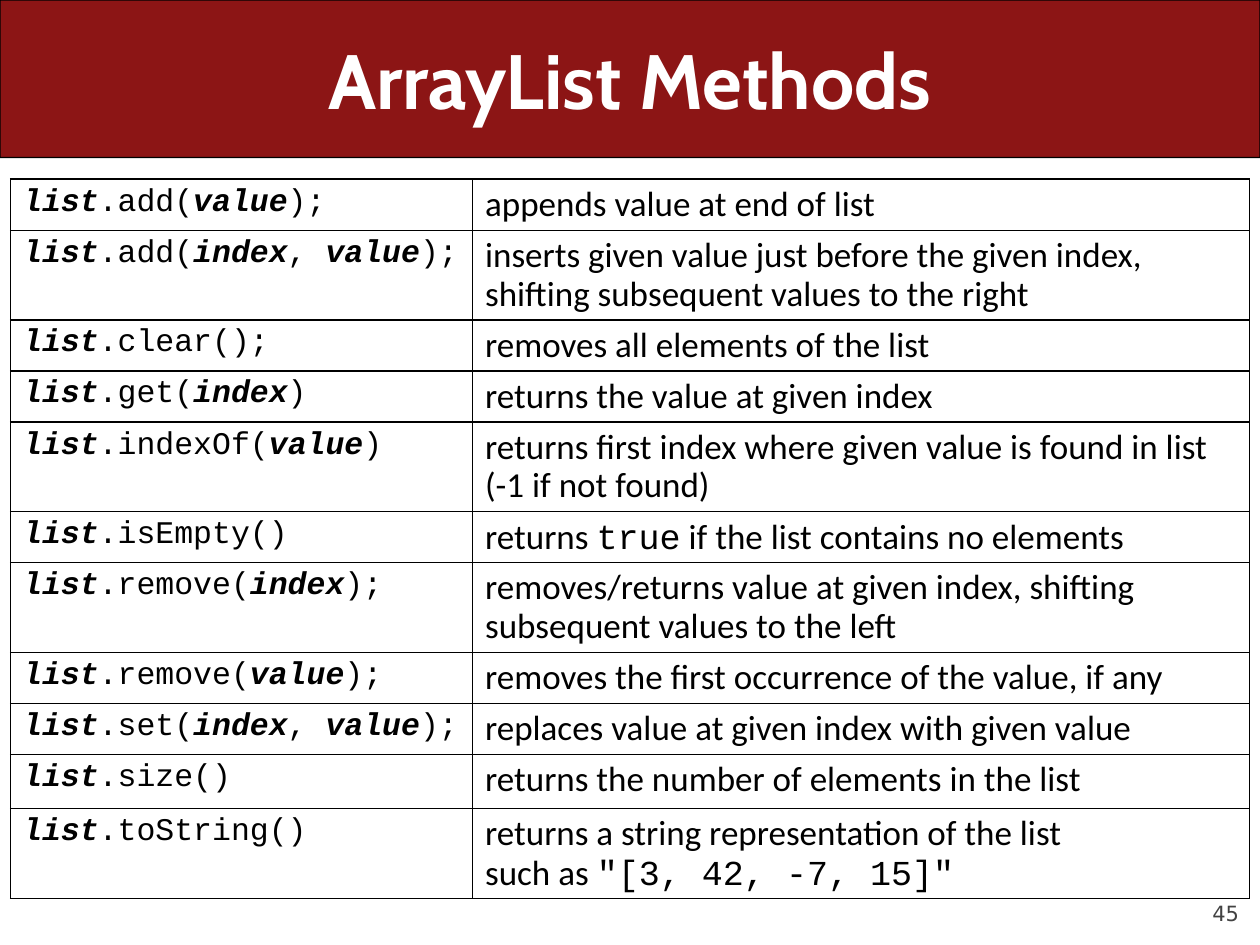
from dataclasses import dataclass

from lxml import etree
from pptx import Presentation
from pptx.dml.color import RGBColor
from pptx.enum.shapes import MSO_SHAPE
from pptx.enum.text import MSO_ANCHOR, PP_ALIGN
from pptx.oxml.ns import qn
from pptx.util import Pt

ROUNDED = MSO_SHAPE.ROUNDED_RECTANGLE
MIDDLE, BOTTOM = MSO_ANCHOR.MIDDLE, MSO_ANCHOR.BOTTOM
CENTER, RIGHT = PP_ALIGN.CENTER, PP_ALIGN.RIGHT

BLACK, WHITE, CARDINAL, GRAY = "000000", "FFFFFF", "8C1515", "424242"
CODE, BODY = "Courier New", "Calibri"
COLUMN_WIDTHS = (264, 444)
ONE_LINE, TWO_LINES = 29.2, 51.2


@dataclass
class Method:
    """A table row: *...* marks a variable in the call, code in the effect."""
    call: str
    effect: str
    height: float = ONE_LINE


METHODS = [
    Method("*list*.add(*value*);", "appends value at end of list"),
    Method("*list*.add(*index*, *value*);",
           "inserts given value just before the given index, "
           "shifting subsequent values to the right", TWO_LINES),
    Method("*list*.clear();", "removes all elements of the list"),
    Method("*list*.get(*index*)", "returns the value at given index"),
    Method("*list*.indexOf(*value*)",
           "returns first index where given value is found in list "
           "(-1 if not found)", TWO_LINES),
    Method("*list*.isEmpty()",
           "returns *true* if the list contains no elements"),
    Method("*list*.remove(*index*);",
           "removes/returns value at given index, shifting "
           "subsequent values to the left", TWO_LINES),
    Method("*list*.remove(*value*);",
           "removes the first occurrence of the value, if any"),
    Method("*list*.set(*index*, *value*);",
           "replaces value at given index with given value"),
    Method("*list*.size()", "returns the number of elements in the list", 31),
    Method("*list*.toString()",
           "returns a string representation of the list\n"
           'such as *"[3, 42, -7, 15]"*', TWO_LINES),
]


def rgb(color: str) -> RGBColor:
    return RGBColor.from_string(color)


def style(font, name: str, size: float, color: str = BLACK,
          bold: bool = False, italic: bool = False) -> None:
    font.name, font.size = name, Pt(size)
    font.color.rgb = rgb(color)
    font.bold, font.italic = bold, italic


def add_borders(cell, width: float = 1) -> None:
    tcPr = cell._tc.get_or_add_tcPr()
    for i, side in enumerate(("lnL", "lnR", "lnT", "lnB")):
        ln = etree.Element(qn(f"a:{side}"), w=str(Pt(width)))
        fill = etree.SubElement(ln, qn("a:solidFill"))
        etree.SubElement(fill, qn("a:srgbClr"), val=BLACK)
        tcPr.insert(i, ln)


def fill_cell(cell, text: str, is_call: bool) -> None:
    cell.fill.background()
    add_borders(cell)
    tf = cell.text_frame
    for i, line in enumerate(text.split("\n")):
        p = tf.add_paragraph() if i else tf.paragraphs[0]
        p.line_spacing = 0.9
        for j, part in enumerate(line.split("*")):
            if not part:
                continue
            marked = j % 2 == 1
            r = p.add_run()
            r.text = part
            if is_call:
                style(r.font, CODE, 18, bold=marked, italic=marked)
            else:
                style(r.font, CODE if marked else BODY, 20)


def add_page_number(s, number: str) -> None:
    tf = s.shapes.add_textbox(Pt(648), Pt(500.4), Pt(60), Pt(28.8)).text_frame
    tf.margin_left = tf.margin_right = tf.margin_top = tf.margin_bottom = 0
    tf.word_wrap = True
    tf.vertical_anchor = BOTTOM
    tf.text = number
    p = tf.paragraphs[0]
    p.alignment, p.space_before = RIGHT, Pt(5)
    style(p.runs[0].font, "DejaVu Sans", 12, GRAY)


def add_banner(s) -> None:
    sp = s.shapes.add_shape(ROUNDED, 0, 0, Pt(720), Pt(90))
    sp.adjustments[0] = 0.001
    sp.shadow.inherit = False
    sp.fill.solid()
    sp.fill.fore_color.rgb = rgb(CARDINAL)
    sp.line.color.rgb = rgb(BLACK)
    sp.line.width = Pt(0.75)
    s.shapes._spTree.insert(2, sp._element)  # behind the title


def set_title(s, text: str) -> None:
    sp = s.shapes.title
    sp.left, sp.top, sp.width, sp.height = Pt(36), 0, Pt(648), Pt(90)
    tf = sp.text_frame
    tf.vertical_anchor = MIDDLE
    tf.text = text
    p = tf.paragraphs[0]
    p.alignment = CENTER
    style(p.runs[0].font, "Cabin", 44, WHITE, bold=True)


def add_method_table(s, methods: list[Method]) -> None:
    frame = s.shapes.add_table(
        len(methods), 2, Pt(6), Pt(102.4), Pt(sum(COLUMN_WIDTHS)),
        Pt(sum(m.height for m in methods)))
    table = frame.table
    table.first_row = table.horz_banding = False
    for column, width in zip(table.columns, COLUMN_WIDTHS):
        column.width = Pt(width)
    for i, m in enumerate(methods):
        table.rows[i].height = Pt(m.height)
        fill_cell(table.cell(i, 0), m.call, is_call=True)
        fill_cell(table.cell(i, 1), m.effect, is_call=False)


def main() -> None:
    prs = Presentation()
    prs.slide_width, prs.slide_height = Pt(720), Pt(540)
    s = prs.slides.add_slide(prs.slide_layouts[5])
    add_banner(s)
    set_title(s, "ArrayList Methods")
    add_page_number(s, "45")
    add_method_table(s, METHODS)
    prs.save("out.pptx")


if __name__ == "__main__":
    main()
